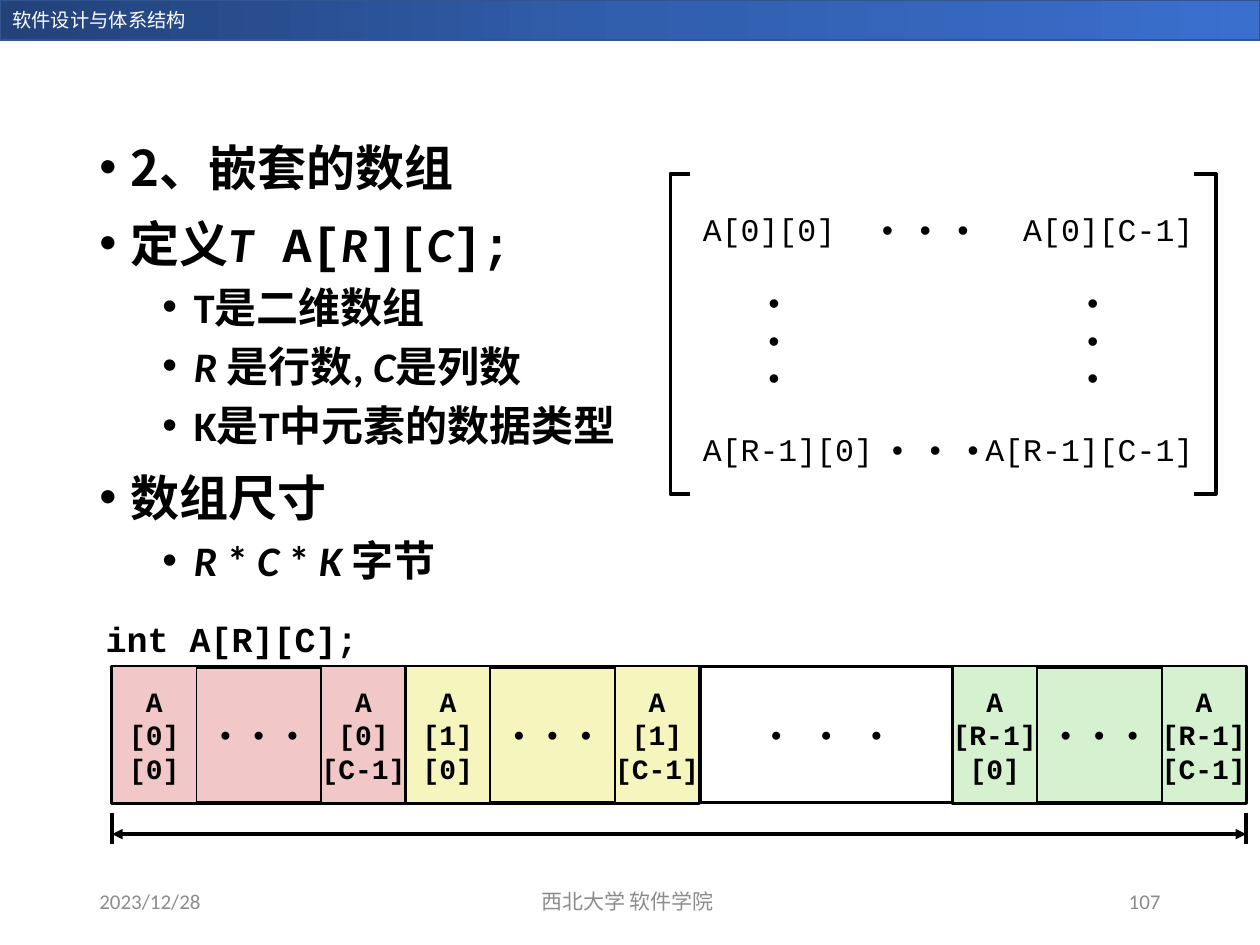
from lxml import etree
from pptx import Presentation
from pptx.dml.color import RGBColor
from pptx.enum.shapes import MSO_CONNECTOR as CONN, MSO_SHAPE as SHAPE
from pptx.enum.text import MSO_ANCHOR as ANCHOR, MSO_AUTO_SIZE as AUTO, PP_ALIGN as ALIGN
from pptx.oxml import parse_xml
from pptx.oxml.ns import nsdecls, qn
from pptx.util import Inches, Pt

COLORS = {"black": "000000", "white": "FFFFFF", "gray": "8C8C8C", "edge": "325491",
          "pink": "F1C7C7", "yellow": "F6F5BD", "green": "D5F1CF"}
GRADIENT = [(0, "23427A"), (50, "315EAD"), (100, "3A6FCE")]
SANS, MONO, CJK = "Calibri", "Courier New", "Noto Sans CJK SC"
DOTS = "• • •"

OUTLINE = [
    (0, [("2、嵌套的数组", CJK, False)]),
    (0, [("定义", SANS, False), ("T", SANS, True), (" A[", MONO, False), ("R", SANS, True),
         ("][", MONO, False), ("C", SANS, True), ("];", MONO, False)]),
    (1, [("T是二维数组", SANS, False)]),
    (1, [("R ", SANS, True), ("是行数, ", SANS, False), ("C", SANS, True),
         ("是列数", SANS, False)]),
    (1, [("K是T中元素的数据类型", SANS, False)]),
    (0, [("数组尺寸", SANS, False)]),
    (1, [("R", SANS, True), (" * ", SANS, False), ("C ", SANS, True), ("* ", SANS, False),
         ("K ", SANS, True), ("字节", SANS, False)]),
]
LEVELS = [dict(size=28, before=10, margin=0.25), dict(size=24, before=5, margin=0.75)]
FOOTERS = [("2023/12/28", 0.69, 2.25, ALIGN.LEFT),
           ("西北大学 软件学院 ", 3.31, 3.38, ALIGN.CENTER),
           ("107", 7.06, 2.25, ALIGN.RIGHT)]
MATRIX_ROWS = [(1.56, "A[0][0]", 6.87, "A[0][C-1]"),
               (3.3, "A[R-1][0]", 6.95, "A[R-1][C-1]")]
BRACKETS = [(5.48, 5.32), (9.48, 9.65)]
BLOCKS = [("0", 0.89, "pink"), ("1", 3.22, "yellow"), ("R-1", 7.56, "green")]
LEFT, RIGHT = 0.89, 9.89
ROW_Y, ROW_H, BLOCK_W, CELL_W = 5.29, 1.08, 2.33, 0.67

prs = Presentation()
prs.slide_width, prs.slide_height = Inches(10), Inches(7.5)
s = prs.slides.add_slide(prs.slide_layouts[6])


def rgb(name):
    return RGBColor.from_string(COLORS[name])


def add_run(p, text, font=SANS, size=18, color="black", bold=False, italic=False):
    r = p.add_run()
    r.text = text
    f = r.font
    f.name, f.size, f.bold, f.italic = font, Pt(size), bold, italic
    f.color.rgb = rgb(color)
    r._r.get_or_add_rPr().find(qn("a:latin")).addnext(
        parse_xml(f'<a:ea {nsdecls("a")} typeface="{CJK}"/>'))
    return r


def write(sp, text, align=ALIGN.LEFT, anchor=ANCHOR.MIDDLE, wrap=False, **fmt):
    tf = sp.text_frame
    tf.word_wrap, tf.vertical_anchor = wrap, anchor
    for i, line in enumerate(text.split("\n")):
        p = tf.add_paragraph() if i else tf.paragraphs[0]
        p.alignment = align
        add_run(p, line, **fmt)
    return sp


def add_text(x, y, w, h, text, **fmt):
    return write(s.shapes.add_textbox(*map(Inches, (x, y, w, h))), text, **fmt)


def add_rect(x, y, w, h, fill="white", line=None, width=1):
    sp = s.shapes.add_shape(SHAPE.RECTANGLE, *map(Inches, (x, y, w, h)))
    sp.shadow.inherit = False
    sp.fill.solid()
    sp.fill.fore_color.rgb = rgb(fill)
    if line:
        sp.line.color.rgb = rgb(line)
        sp.line.width = Pt(width)
    else:
        sp.line.fill.background()
    return sp


def add_line(x1, y1, x2, y2, arrows=False):
    c = s.shapes.add_connector(CONN.STRAIGHT, *map(Inches, (x1, y1, x2, y2)))
    c.line.color.rgb = rgb("black")
    c.line.width = Pt(2)
    if arrows:
        for tag in ("a:headEnd", "a:tailEnd"):
            etree.SubElement(c.line._get_or_add_ln(), qn(tag), type="triangle")
    etree.SubElement(c._element.spPr, qn("a:effectLst"))


def add_bracket(tip, spine, top=1.38, bottom=3.92):
    fb = s.shapes.build_freeform(Inches(tip), Inches(top))
    fb.add_line_segments([(Inches(x), Inches(y)) for x, y in
                          ((spine, top), (spine, bottom), (tip, bottom))], close=False)
    sp = fb.convert_to_shape()
    sp.shadow.inherit = False
    sp.fill.background()
    sp.line.color.rgb = rgb("black")
    sp.line.width = Pt(2)


def add_outline():
    tf = s.shapes.add_textbox(*map(Inches, (0.69, 1.04, 8.62, 4.76))).text_frame
    tf.word_wrap = True
    for i, (level, runs) in enumerate(OUTLINE):
        style = LEVELS[level]
        p = tf.add_paragraph() if i else tf.paragraphs[0]
        p.level = level
        if i:
            p.space_before = Pt(style["before"])
        pPr = p._p.get_or_add_pPr()
        pPr.set("marL", str(Inches(style["margin"])))
        pPr.set("indent", str(Inches(-0.25)))
        etree.SubElement(pPr, qn("a:buFont"), typeface="Arial")
        etree.SubElement(pPr, qn("a:buChar"), char="•")
        for text, font, italic in runs:
            add_run(p, text, font=font, size=style["size"], bold=True, italic=italic)


banner = add_rect(0, 0, 10, 0.32, line="edge")
stops = "".join(f'<a:gs pos="{pos * 1000}"><a:srgbClr val="{c}"/></a:gs>' for pos, c in GRADIENT)
solid = banner._element.spPr.find(qn("a:solidFill"))
solid.getparent().replace(solid, parse_xml(
    f'<a:gradFill {nsdecls("a")}><a:gsLst>{stops}</a:gsLst><a:lin ang="0"/></a:gradFill>'))
add_text(0, 0.02, 2.49, 0.29, "软件设计与体系结构", size=11, color="white",
         anchor=ANCHOR.TOP, wrap=True)
add_outline()
for text, x, w, align in FOOTERS:
    add_text(x, 6.95, w, 0.4, text, size=12, color="gray", align=align, wrap=True)

for y, first, dots_x, last in MATRIX_ROWS:
    write(add_rect(5.48, y, 1.31, 0.52), first, font=MONO)
    write(add_rect(dots_x, y, 0.98, 0.52), DOTS, font=MONO)
    write(add_rect(8.26, y, 1.31, 0.52), last, font=MONO, align=ALIGN.RIGHT)
for x in (5.97, 8.5):
    write(add_rect(x, 2.26, 0.49, 0.87), "•\n•\n•", font=MONO)
for tip, spine in BRACKETS:
    add_bracket(tip, spine)

bold_mono = dict(font=MONO, bold=True)
cell_text = dict(bold_mono, size=16, align=ALIGN.CENTER)
declaration = add_text(0.72, 4.85, 2.22, 0.43, "int A[R][C];", size=20, align=ALIGN.RIGHT,
                       anchor=ANCHOR.TOP, **bold_mono)
declaration.text_frame.auto_size = AUTO.SHAPE_TO_FIT_TEXT
for row, x, fill in BLOCKS:
    write(add_rect(x, ROW_Y, BLOCK_W, ROW_H, fill, "black", 2.25), DOTS, **cell_text)
    for col, cell_x in (("0", x), ("C-1", x + BLOCK_W - CELL_W)):
        write(add_rect(cell_x, ROW_Y, CELL_W, ROW_H, fill, "black"),
              f"A\n[{row}]\n[{col}]", **cell_text)
gap = write(add_rect(5.56, ROW_Y, 2, ROW_H, "white", "black", 2), DOTS, **cell_text)
gap.text_frame.paragraphs[0].runs[0]._r.rPr.set("spc", "480")

for x in (LEFT, RIGHT):
    add_line(x, 6.45, x, 6.7)
add_line(LEFT, 6.62, RIGHT, 6.62, arrows=True)

prs.save("out.pptx")
